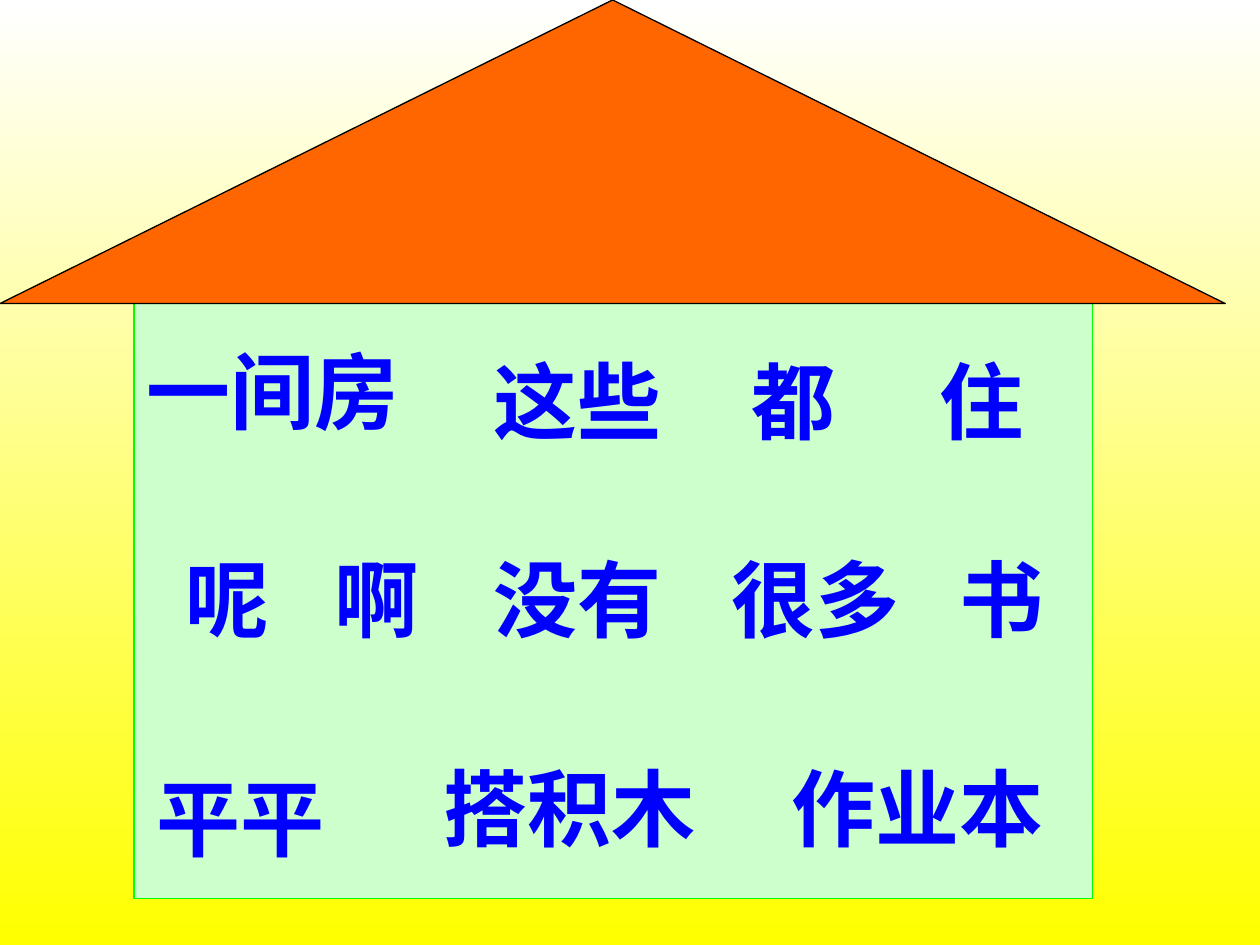
from dataclasses import dataclass

from pptx import Presentation
from pptx.dml.color import RGBColor
from pptx.enum.shapes import MSO_SHAPE
from pptx.enum.text import MSO_AUTO_SIZE
from pptx.util import Cm, Pt


@dataclass(frozen=True)
class Theme:
    sky: tuple = ("FFFFFF", "FFFF00")
    wall: str = "CCFFCC"
    wall_line: str = "00FF00"
    roof: str = "FF6600"
    roof_line: str = "000000"
    word: str = "0000FF"
    font: str = "Times New Roman"
    size: int = 48
    line: float = 0.75


THEME = Theme()
HOUSE = (0, 0, 24.7, 18.12)
ROOF_HEIGHT = 6.12
WALL_INSET = 2.7
WALL_WIDTH = 19.33
WORD_HEIGHT = 2.29

# Word, left, top and width in cm, measured from the corner of the wall
WORDS = [
    ("一间房", 0, 0.6, 6.4),
    ("这些", 7, 0.8, 4),
    ("都", 12.2, 0.8, 2.8),
    ("住", 16, 0.8, 3.2),
    ("呢", 0.8, 4.8, 3),
    ("啊", 3.8, 4.8, 2.6),
    ("没有", 7, 4.8, 4.4),
    ("很多", 11.8, 4.8, 4),
    ("书", 16.4, 4.8, 2.4),
    ("平平", 0.2, 9.2, 4.2),
    ("搭积木", 6, 9, 6.4),
    ("作业本", 13, 9, 5.8),
]


def add_text(slide, text, box, *, size=THEME.size, color=THEME.word, bold=True):
    sp = slide.shapes.add_textbox(*map(Cm, box))
    tf = sp.text_frame
    tf.word_wrap = True
    tf.auto_size = MSO_AUTO_SIZE.SHAPE_TO_FIT_TEXT
    r = tf.paragraphs[0].add_run()
    r.text = text
    r.font.name = THEME.font
    r.font.size = Pt(size)
    r.font.bold = bold
    r.font.color.rgb = RGBColor.from_string(color)


def add_block(group, kind, box, fill, line):
    sp = group.shapes.add_shape(kind, *map(Cm, box))
    sp.shadow.inherit = False
    sp.fill.solid()
    sp.fill.fore_color.rgb = RGBColor.from_string(fill)
    sp.line.color.rgb = RGBColor.from_string(line)
    sp.line.width = Pt(THEME.line)


def paint_sky(slide):
    fill = slide.background.fill
    fill.gradient()
    fill.gradient_angle = 270
    for stop, color, position in zip(fill.gradient_stops, THEME.sky, (0, 1)):
        stop.color.rgb = RGBColor.from_string(color)
        stop.position = position


def add_house(slide, box):
    """Draw the wall and roof, and return the box of the wall."""
    left, top, width, height = box
    wall = (left + WALL_INSET, top + ROOF_HEIGHT, WALL_WIDTH, height - ROOF_HEIGHT)
    roof = (left, top, width, ROOF_HEIGHT)
    group = slide.shapes.add_group_shape()
    add_block(group, MSO_SHAPE.RECTANGLE, wall, THEME.wall, THEME.wall_line)
    add_block(group, MSO_SHAPE.ISOSCELES_TRIANGLE, roof, THEME.roof, THEME.roof_line)
    return wall


def add_words(slide, box):
    left, top = box[:2]
    for word, x, y, width in WORDS:
        add_text(slide, word, (left + x, top + y, width, WORD_HEIGHT))


def main():
    prs = Presentation()
    prs.slide_width, prs.slide_height = Cm(25.4), Cm(19.05)
    s = prs.slides.add_slide(prs.slide_layouts[6])
    paint_sky(s)
    wall = add_house(s, HOUSE)
    add_words(s, wall)
    prs.save("out.pptx")


if __name__ == "__main__":
    main()
